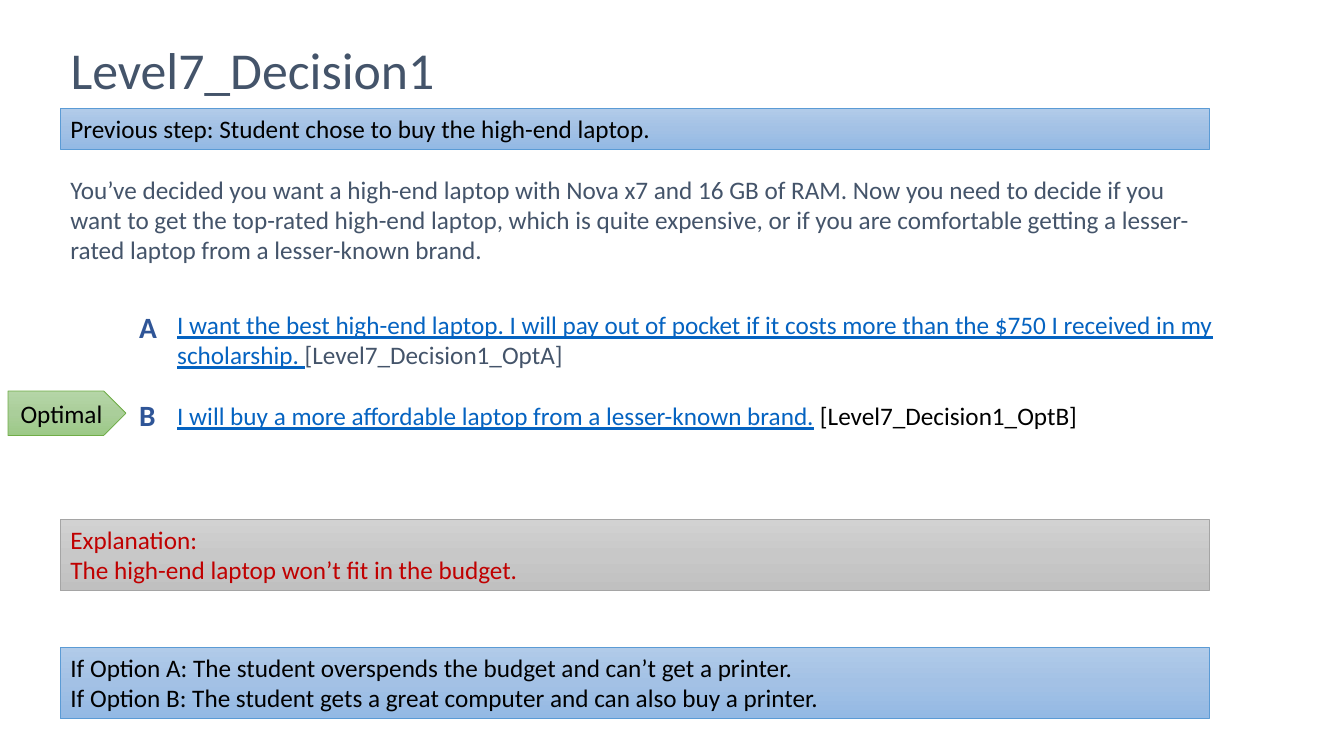
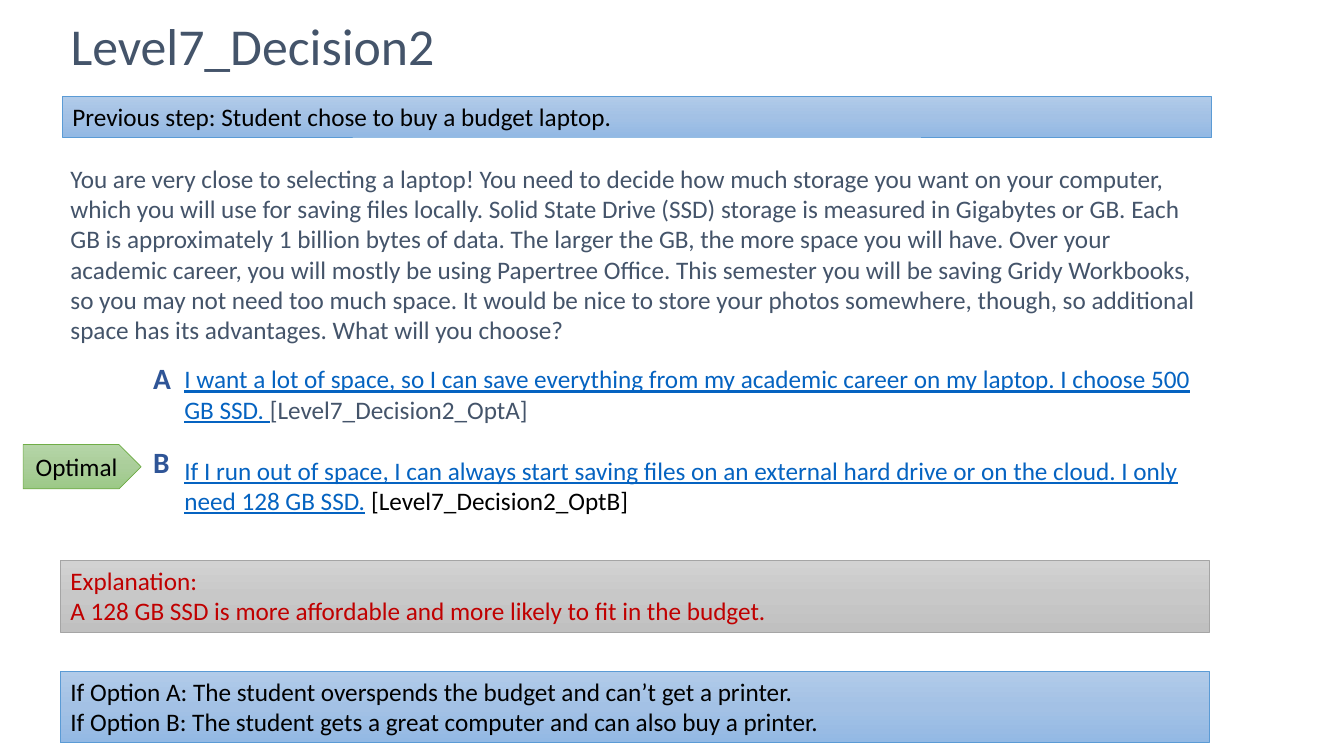
from copy import deepcopy
from dataclasses import dataclass

from pptx import Presentation
from pptx.dml.color import RGBColor
from pptx.enum.shapes import MSO_SHAPE
from pptx.enum.text import MSO_ANCHOR, MSO_AUTO_SIZE, PP_ALIGN
from pptx.util import Inches, Pt

RECT, ARROW = MSO_SHAPE.RECTANGLE, MSO_SHAPE.PENTAGON
TOP, MIDDLE = MSO_ANCHOR.TOP, MSO_ANCHOR.MIDDLE
LEFT, CENTER = PP_ALIGN.LEFT, PP_ALIGN.CENTER
NO_FIT = MSO_AUTO_SIZE.NONE

FONT = "Calibri"
COLORS = {
    "slate": "44546A", "link": "0563C1", "letter": "2F5597",
    "black": "000000", "red": "C00000",
}
# Each style: line colour, then gradient from top to bottom
STYLES = {
    "blue": ("5B9BD5", "B1CBE9", "A3C1E5", "93B9E4"),
    "gray": ("A5A5A5", "D2D2D2", "C8C8C8", "C0C0C0"),
    "green": ("70AD47", "B5D5A7", "AACE9A", "9CC987"),
}
EDGE, WIDE = 0.6, 11.39
GAP = 22  # one blank line between the options, in points


@dataclass
class Run:
    text: str
    color: str = "black"
    under: bool = False


@dataclass
class Choice:
    text: str
    tag: str
    color: str


@dataclass
class Box:
    left: float
    top: float
    width: float
    height: float

    def place(self) -> tuple:
        return tuple(map(Inches, (self.left, self.top, self.width, self.height)))


@dataclass
class Page:
    title: str
    head: float
    step: str
    band: Box
    story: str
    body: Box
    picks: list[Choice]
    list_box: Box
    marks: tuple[float, float, float]  # left of letters, top of A, top of B
    badge: tuple[float, float]
    reason: str
    reason_top: float
    result_top: float


def write(shape, paras: list[list[Run]], size: float = 18, bold: bool = False,
          align=LEFT, anchor=TOP, gap: float = 0, line: float = 1,
          inset: tuple[float, float] = (0.1, 0.05)) -> None:
    """Fill a shape with paragraphs made of runs."""
    frame = shape.text_frame
    frame.word_wrap, frame.auto_size = True, NO_FIT
    frame.vertical_anchor = anchor
    frame.margin_left = frame.margin_right = Inches(inset[0])
    frame.margin_top = frame.margin_bottom = Inches(inset[1])
    for i, runs in enumerate(paras):
        para = frame.add_paragraph() if i else frame.paragraphs[0]
        para.alignment, para.line_spacing = align, line
        if i and gap:
            para.space_before = Pt(gap)
        for item in runs:
            run = para.add_run()
            run.text = item.text
            font = run.font
            font.name, font.size, font.bold = FONT, Pt(size), bold
            font.underline = item.under
            font.color.rgb = RGBColor.from_string(COLORS[item.color])


def add_text(slide, box: Box, paras: list[list[Run]], **fmt) -> None:
    write(slide.shapes.add_textbox(*box.place()), paras, **fmt)


def add_block(slide, kind, box: Box, style: str, paras: list[list[Run]], **fmt) -> None:
    """Draw a shape with a thin line and a vertical three-stop gradient."""
    shape = slide.shapes.add_shape(kind, *box.place())
    shape.shadow.inherit = False
    edge, *shades = STYLES[style]
    shape.line.color.rgb = RGBColor.from_string(edge)
    shape.line.width = Pt(0.5)
    fill = shape.fill
    fill.gradient()
    fill.gradient_angle = 270
    first = shape._element.spPr.xpath("./a:gradFill/a:gsLst/a:gs")[0]
    first.addnext(deepcopy(first))
    for i, (stop, shade) in enumerate(zip(fill.gradient_stops, shades)):
        stop.position = i / 2
        stop.color.rgb = RGBColor.from_string(shade)
    write(shape, paras, **fmt)


def add_band(slide, top: float, style: str, lines: list[str],
             color: str = "black", left: float = EDGE) -> None:
    box = Box(left, top, WIDE, 0.09 + 0.31 * len(lines))
    add_block(slide, RECT, box, style, [[Run(text, color)] for text in lines])


def add_page(deck, page: Page) -> None:
    slide = deck.slides.add_slide(deck.slide_layouts[5])

    # Title
    title = slide.shapes.title
    title.left, title.top, title.width, title.height = Box(
        EDGE, page.head, WIDE, 1.25).place()
    write(title, [[Run(page.title, "slate")]], size=37, anchor=MIDDLE, line=0.9)

    # Options, their letters and the badge
    add_text(slide, page.list_box, [
        [Run(pick.text, "link", True), Run(pick.tag, pick.color)]
        for pick in page.picks], gap=GAP)
    left, *tops = page.marks
    for letter, top in zip("AB", tops):
        add_text(slide, Box(left, top, 0.7, 0.5), [[Run(letter, "letter")]],
                 size=21, bold=True, inset=(0.13, 0.07))
    add_block(slide, ARROW, Box(*page.badge, 1.17, 0.44), "green",
              [[Run("Optimal")]], align=CENTER, anchor=MIDDLE)

    # Bands
    add_band(slide, page.result_top, "blue", [
        "If Option A: The student overspends the budget and can’t get a printer.",
        "If Option B: The student gets a great computer and can also buy a printer.",
    ])
    add_band(slide, page.reason_top, "gray", ["Explanation:", page.reason], "red")
    add_band(slide, page.band.top, "blue", [page.step], left=page.band.left)

    # Story
    add_text(slide, page.body, [[Run(page.story, "slate")]])


PAGES = [
    Page(
        title="Level7_Decision1", head=0.1,
        step="Previous step: Student chose to buy the high-end laptop.",
        band=Box(EDGE, 1.08, WIDE, 0.4),
        story="You’ve decided you want a high-end laptop with Nova x7 and 16 GB of "
              "RAM. Now you need to decide if you want to get the top-rated high-end "
              "laptop, which is quite expensive, or if you are comfortable getting a "
              "lesser-rated laptop from a lesser-known brand.",
        body=Box(EDGE, 1.68, WIDE, 1.31),
        picks=[
            Choice("I want the best high-end laptop. I will pay out of pocket if it "
                   "costs more than the $750 I received in my scholarship. ",
                   "[Level7_Decision1_OptA]", "slate"),
            Choice("I will buy a more affordable laptop from a lesser-known brand.",
                   " [Level7_Decision1_OptB]", "black"),
        ],
        list_box=Box(1.66, 3.02, 10.74, 1.32),
        marks=(1.25, 3, 3.87), badge=(0.08, 3.88),
        reason="The high-end laptop won’t fit in the budget.",
        reason_top=5.15, result_top=6.42,
    ),
    Page(
        title="Level7_Decision2", head=-0.14,
        step="Previous step: Student chose to buy a budget laptop.",
        band=Box(0.62, 0.96, WIDE, 0.4),
        story="You are very close to selecting a laptop! You need to decide how much "
              "storage you want on your computer, which you will use for saving files "
              "locally. Solid State Drive (SSD) storage is measured in Gigabytes or "
              "GB. Each GB is approximately 1 billion bytes of data. The larger the "
              "GB, the more space you will have. Over your academic career, you will "
              "mostly be using Papertree Office. This semester you will be saving "
              "Gridy Workbooks, so you may not need too much space. It would be nice "
              "to store your photos somewhere, though, so additional space has its "
              "advantages. What will you choose?",
        body=Box(EDGE, 1.57, 11.45, 1.92),
        picks=[
            Choice("I want a lot of space, so I can save everything from my academic "
                   "career on my laptop. I choose 500 GB SSD. ",
                   "[Level7_Decision2_OptA]", "slate"),
            Choice("If I run out of space, I can always start saving files on an "
                   "external hard drive or on the cloud. I only need 128 GB SSD.",
                   " [Level7_Decision2_OptB]", "black"),
        ],
        list_box=Box(1.73, 3.56, 10.32, 1.62),
        marks=(1.39, 3.5, 4.34), badge=(0.23, 4.41),
        reason="A 128 GB SSD is more affordable and more likely to fit in the budget.",
        reason_top=5.56, result_top=6.66,
    ),
]


def main() -> None:
    deck = Presentation()
    deck.slide_width, deck.slide_height = Inches(13.33), Inches(7.5)
    for page in PAGES:
        add_page(deck, page)
    deck.save("out.pptx")


if __name__ == "__main__":
    main()
